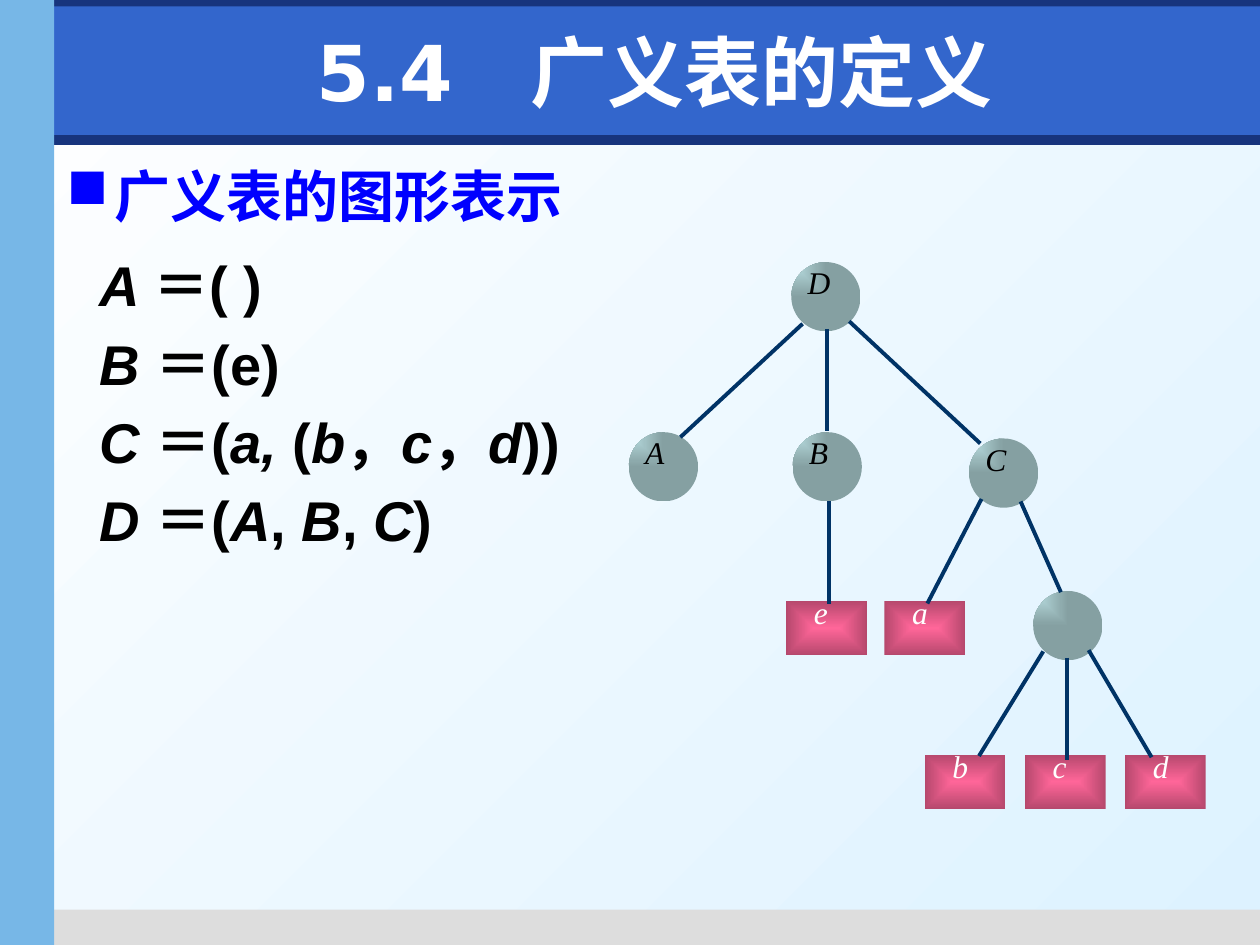
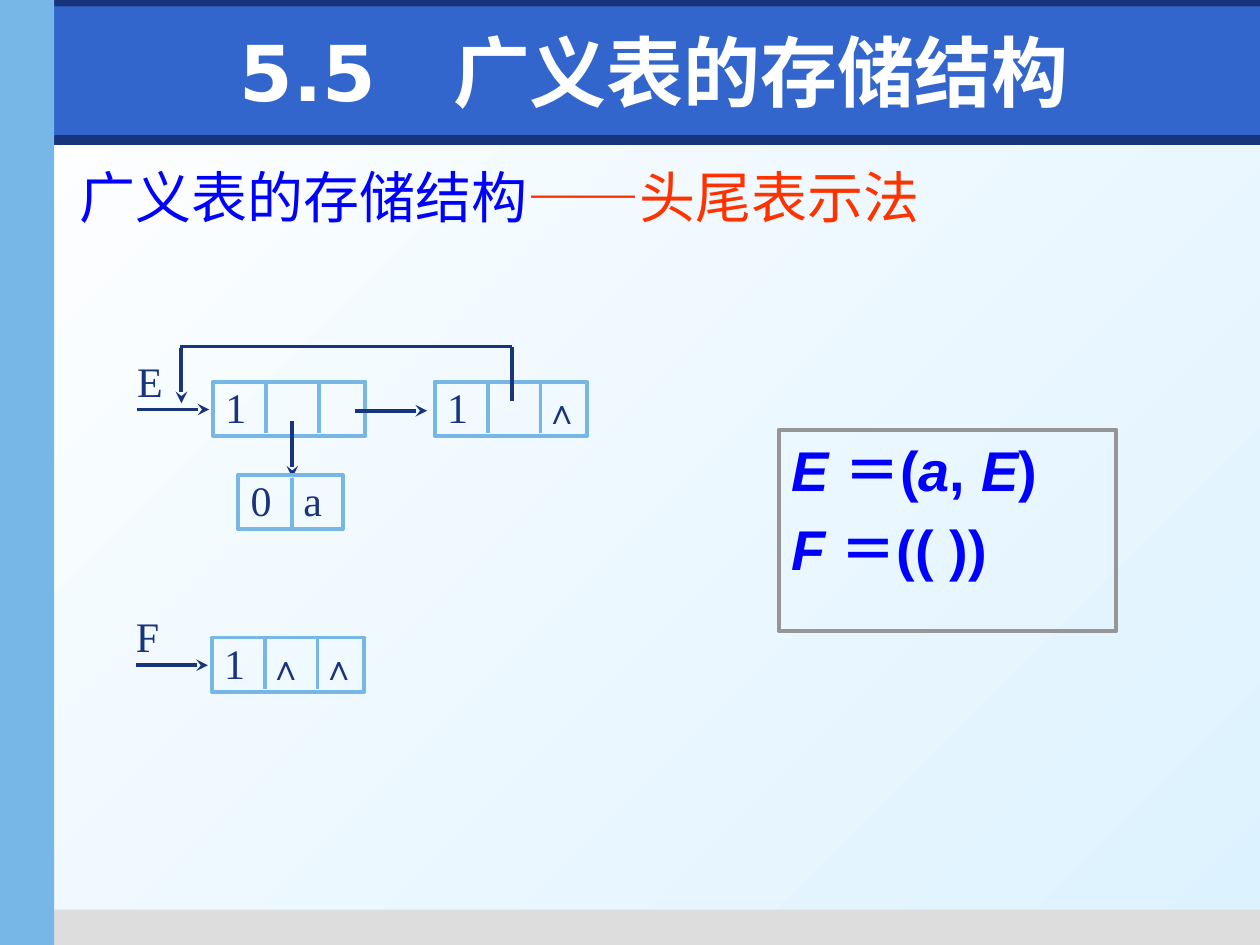
"""Build two slides on generalized lists: their graph form and their storage."""
from lxml import etree
from pptx import Presentation
from pptx.dml.color import RGBColor
from pptx.enum.shapes import MSO_CONNECTOR, MSO_SHAPE
from pptx.enum.text import MSO_ANCHOR, PP_ALIGN
from pptx.oxml import parse_xml
from pptx.oxml.ns import nsdecls, qn
from pptx.util import Inches, Pt

RECT, OVAL = MSO_SHAPE.RECTANGLE, MSO_SHAPE.OVAL
STRAIGHT = MSO_CONNECTOR.STRAIGHT
TOP, MIDDLE = MSO_ANCHOR.TOP, MSO_ANCHOR.MIDDLE
LEFT, CENTER = PP_ALIGN.LEFT, PP_ALIGN.CENTER

WHITE = RGBColor(0xFF, 0xFF, 0xFF)
BLACK = RGBColor(0, 0, 0)
PALE = RGBColor(0xDD, 0xF2, 0xFF)
NAVY = RGBColor(0x17, 0x34, 0x7D)
ROYAL = RGBColor(0x33, 0x66, 0xCC)
SKY = RGBColor(0x77, 0xB7, 0xE7)
SILVER = RGBColor(0xDD, 0xDD, 0xDD)
GRAY = RGBColor(0x96, 0x96, 0x96)
BLUE = RGBColor(0, 0, 0xFF)
RED = RGBColor(0xFF, 0x33, 0)
INK = RGBColor(0, 0x33, 0x66)
TEAL = RGBColor(0xBB, 0xE0, 0xE3)
PINK = RGBColor(0xFF, 0x66, 0x99)
SANS, SERIF, HAN, HEAD = "Arial", "Times New Roman", "Noto Sans CJK SC", "DejaVu Sans"

deck = Presentation()
deck.slide_width, deck.slide_height = Inches(10), Inches(7.5)
CELL = deck.slide_width / 10


def write(slide, text, box, kind=None, fill=None, glow=None, edge=None, font=SERIF,
          size=24, color=NAVY, bold=False, slant=False, hang=0, bullet=None, tab=None,
          gap=0, inset=(0.1, 0.05, 0.1, 0.05), anchor=TOP, align=LEFT):
    """Place a title, shape or text box; with slant, parts between | turn italic."""
    spot = [round(part * CELL) for part in box]
    if kind == "title":
        shape = slide.shapes.title
        shape.left, shape.top, shape.width, shape.height = spot
    elif kind is None:
        shape = slide.shapes.add_textbox(*spot)
    else:
        shape = slide.shapes.add_shape(kind, *spot)
        shape.shadow.inherit = False
        shape.fill.background()
        shape.line.fill.background()
    if fill is not None:
        shape.fill.solid()
        shape.fill.fore_color.rgb = fill
    if glow:
        tone, way, rect = glow
        old = shape.element.spPr.find(qn("a:noFill"))
        shape.element.spPr.replace(old, parse_xml(
            f'<a:gradFill {nsdecls("a")} rotWithShape="0"><a:gsLst>'
            f'<a:gs pos="0"><a:srgbClr val="{tone}"/></a:gs><a:gs pos="100000">'
            f'<a:srgbClr val="{tone}"><a:shade val="46275"/></a:srgbClr></a:gs>'
            f'</a:gsLst><a:path path="{way}"><a:fillToRect {rect}/></a:path></a:gradFill>'))
    if edge is not None:
        shape.line.color.rgb = edge
        shape.line.width = Pt(2.25)
    frame = shape.text_frame
    frame.word_wrap = True
    frame.vertical_anchor = anchor
    (frame.margin_left, frame.margin_top,
     frame.margin_right, frame.margin_bottom) = [round(part * CELL) for part in inset]
    for row, line in enumerate(text.split("\n") if text else []):
        para = frame.add_paragraph() if row else frame.paragraphs[0]
        para.alignment = align
        if row:
            para.space_before = Pt(gap)
        props = para._p.get_or_add_pPr()
        if hang:
            props.set("marL", str(round(hang * CELL)))
            props.set("indent", str(round(-hang * CELL)))
        if bullet:
            tint = etree.SubElement(props, qn("a:buClr"))
            etree.SubElement(tint, qn("a:srgbClr"), val=str(color))
            etree.SubElement(props, qn("a:buChar"), char=bullet)
        if tab:
            stops = etree.SubElement(props, qn("a:tabLst"))
            etree.SubElement(stops, qn("a:tab"), pos=str(round(tab * CELL)), algn="l")
        for turn, part in enumerate(line.split("|")):
            if part:
                run = para.add_run()
                run.text = part
                run.font.name, run.font.size = font, Pt(size)
                run.font.bold, run.font.italic = bold, slant and turn % 2 == 1
                run.font.color.rgb = color
                etree.SubElement(run._r.get_or_add_rPr(), qn("a:ea"), typeface=HAN)
    return shape


def link(slide, ends, color, arrow=False):
    """Draw a straight line between two points, with an optional arrowhead."""
    line = slide.shapes.add_connector(STRAIGHT, *[round(part * CELL) for part in ends])
    line.line.color.rgb = color
    line.line.width = Pt(2.25)
    if arrow:
        etree.SubElement(line.line._get_or_add_ln(), qn("a:tailEnd"), type="stealth")
    etree.SubElement(line.element.spPr, qn("a:effectLst"))


master = deck.slide_master
back = master.background.fill
back.gradient()
back.gradient_angle = 315
for stop, tone in zip(back.gradient_stops, (WHITE, PALE)):
    stop.color.rgb = tone

graph, store = [deck.slides.add_slide(deck.slide_layouts[5]) for _ in range(2)]
bands = [((0.04, 1.07, 9.96, 0.08), NAVY), ((0.35, 7.22, 9.65, 0.28), SILVER),
         ((0, 0, 10, 0.21), NAVY), ((0.43, 0.05, 9.57, 1.02), ROYAL),
         ((0, 0, 0.43, 7.5), SKY)]
for depth, (box, tone) in enumerate(bands):
    band = write(graph, "", box, kind=RECT, fill=tone)
    master.element.cSld.spTree.insert(2 + depth, band.element)

for slide, text in ((graph, "5.4　广义表的定义"), (store, "5.5　广义表的存储结构")):
    write(slide, text, (0.59, 0.13, 9.21, 0.87), kind="title", font=HEAD, size=44,
          color=WHITE, bold=True, anchor=MIDDLE, align=CENTER)

write(graph, "广义表的图形表示", (0.43, 1.23, 9.37, 0.7), font=SANS, size=32,
      color=BLUE, bold=True, hang=0.38, bullet="■")
write(graph, "|A |＝( )\n|B |＝(e)\n|C |＝(|a, |(|b|，|c|，|d|))\n|D |＝(|A|, |B|, |C|)",
      (0.69, 1.94, 3.88, 3.9), font=SANS, size=32, color=BLACK, bold=True,
      slant=True, hang=0.38, gap=6.4)

ball = (TEAL, "rect", 'r="100000" b="100000"')
tile = (PINK, "shape", 'l="50000" t="50000" r="50000" b="50000"')
lists = [("A", 4.99, 3.43), ("B", 6.29, 3.43), ("C", 7.69, 3.48), ("", 8.2, 4.69),
         ("D", 6.28, 2.08)]
atoms = [("e", 6.24, 4.77), ("a", 7.02, 4.77)]
atoms += [(name, 7.34 + 0.795 * step, 5.99) for step, name in enumerate("bcd")]
for nodes, kind, wide, high, glow, dx, dy, tone in (
        (lists, OVAL, 0.55, 0.55, ball, 0.13, 0.01, BLACK),
        (atoms, RECT, 0.64, 0.43, tile, 0.22, -0.06, WHITE)):
    for name, x, y in nodes:
        write(graph, "", (x, y, wide, high), kind=kind, glow=glow)
        if name:
            write(graph, "|" + name, (x + dx, y + dy, 0.36, 0.52), size=18, color=tone,
                  slant=True, inset=(0, 0, 0, 0.01))
for ends in ((6.37, 2.57, 5.4, 3.47), (6.56, 2.61, 6.56, 3.42), (6.74, 2.55, 7.78, 3.52),
             (6.58, 3.98, 6.58, 4.79), (7.79, 3.96, 7.36, 4.79), (8.1, 3.98, 8.42, 4.7),
             (8.28, 5.17, 7.77, 6), (8.47, 5.22, 8.47, 6.03), (8.64, 5.16, 9.14, 6.01)):
    link(graph, ends, INK)

topic = write(store, "广义表的存储结构|——头尾表示法", (0.53, 1.24, 8.33, 0.63),
              font=HAN, size=32, color=BLUE)
topic.text_frame.paragraphs[0].runs[1].font.color.rgb = RED
write(store, "|E |＝(|a|, |E|)\n|F |＝(( ))", (6.18, 3.41, 2.68, 1.6), kind=RECT,
      edge=GRAY, font=SANS, size=32, color=BLUE, bold=True, slant=True, hang=0.38, gap=6.4)

HIGH, FIELD = 0.43, 0.42
for name, x, y, nils in (("E", 1.69, 3.03, ()), ("", 3.45, 3.03, (2,)),
                         ("F", 1.68, 5.06, (1, 2))):
    write(store, "1", (x, y, 1.21, HIGH), kind=RECT, edge=SKY, inset=(0.1, 0, 0, 0))
    for step in (1, 2):
        link(store, (x + step * FIELD, y + 0.01, x + step * FIELD, y + 0.41), SKY)
    for step in nils:
        write(store, "∧", (x + step * FIELD + 0.03, y + 0.06, 0.3, 0.33), size=20,
              inset=(0, 0, 0, 0))
    if name:
        write(store, name, (x - 0.7, y - 0.26, 0.48, 0.5))
        link(store, (x - 0.6, y + 0.22, x - 0.03, y + 0.22), NAVY, arrow=True)

link(store, (2.32, 3.34, 2.32, 3.79), NAVY, arrow=True)
write(store, "0\ta", (1.89, 3.77, 0.83, HIGH), kind=RECT, edge=SKY, tab=FIELD,
      inset=(0.1, 0, 0, 0))
link(store, (2.32, 3.79, 2.32, 4.18), SKY)
link(store, (2.82, 3.26, 3.39, 3.26), NAVY, arrow=True)
link(store, (4.06, 3.18, 4.06, 2.75), NAVY)
link(store, (4.06, 2.75, 1.43, 2.75), NAVY)
link(store, (1.44, 2.76, 1.44, 3.2), NAVY, arrow=True)

deck.save("out.pptx")
